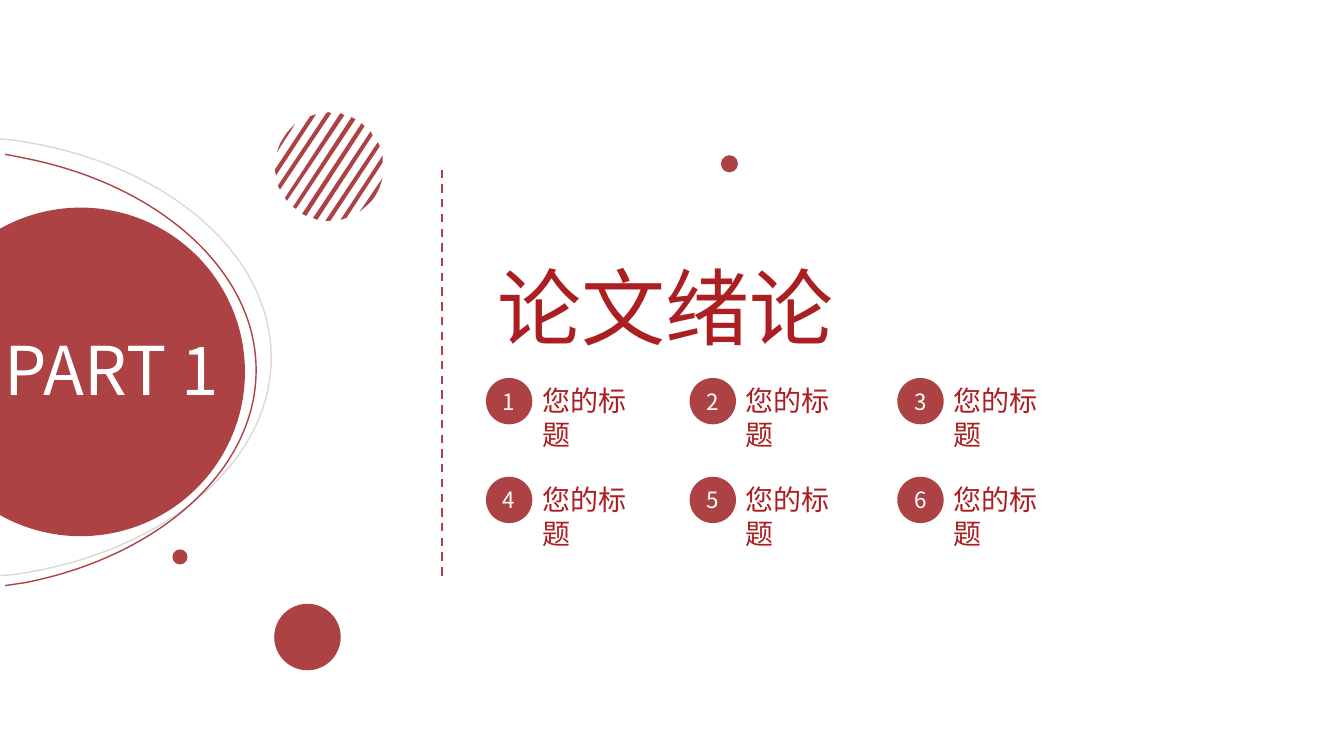
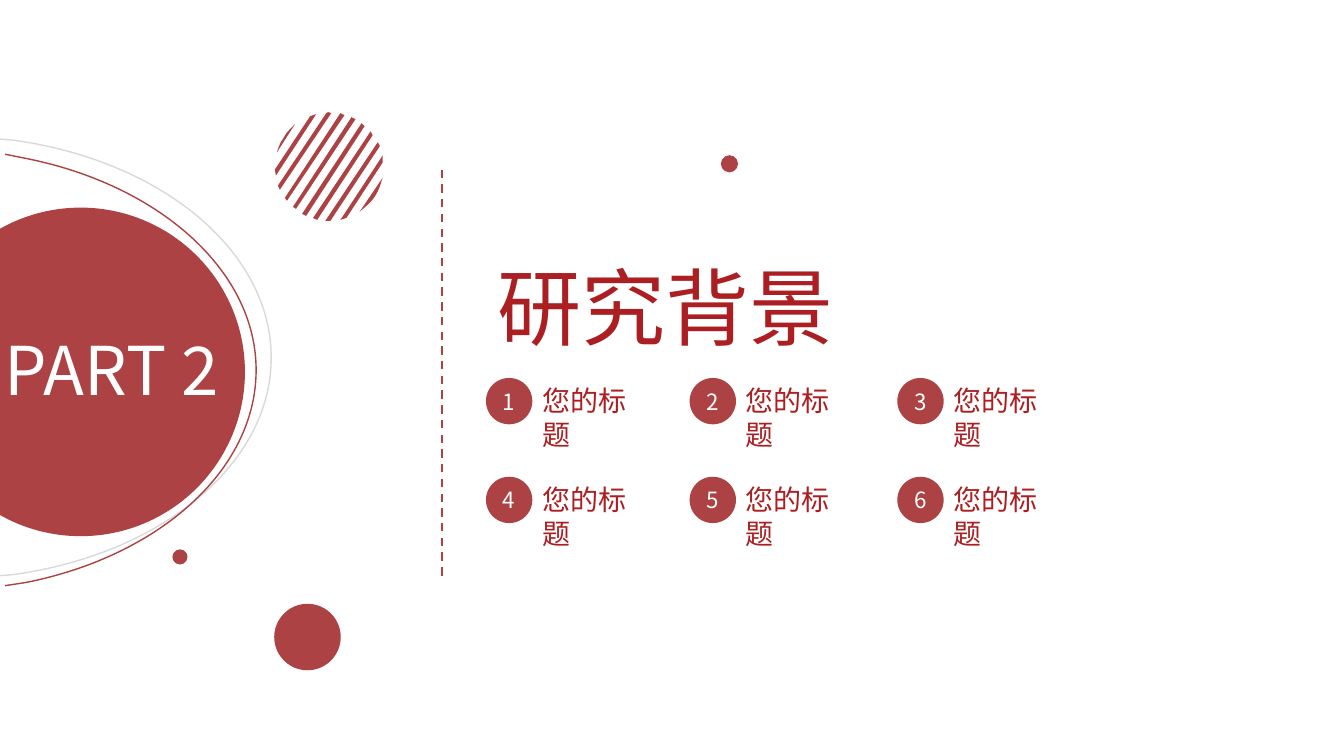
import math
from dataclasses import dataclass

from lxml import etree
from pptx import Presentation
from pptx.dml.color import RGBColor
from pptx.enum.dml import MSO_LINE
from pptx.enum.shapes import MSO_CONNECTOR, MSO_SHAPE
from pptx.enum.text import MSO_ANCHOR, MSO_AUTO_SIZE, PP_ALIGN
from pptx.oxml.ns import qn
from pptx.util import Inches, Pt

ELLIPSE = MSO_SHAPE.OVAL
STRAIGHT = MSO_CONNECTOR.STRAIGHT
DASH = MSO_LINE.DASH
LEFT, CENTER = PP_ALIGN.LEFT, PP_ALIGN.CENTER
MIDDLE = MSO_ANCHOR.MIDDLE
GROW = MSO_AUTO_SIZE.SHAPE_TO_FIT_TEXT

# Content
SECTIONS = [
    {"part": "PART 1", "title": "论文绪论", "topics": ["您的标题"] * 6},
    {"part": "PART 2", "title": "研究背景", "topics": ["您的标题"] * 6},
]


# Theme
@dataclass(frozen=True)
class Theme:
    font: str = "Noto Sans CJK SC"
    red: RGBColor = RGBColor(0xAC, 0x42, 0x43)
    title_red: RGBColor = RGBColor(0xAB, 0x1E, 0x21)
    gray: RGBColor = RGBColor(0xD9, 0xD9, 0xD9)
    white: RGBColor = RGBColor(0xFF, 0xFF, 0xFF)
    title_size: int = 60
    part_size: int = 48
    topic_size: int = 20
    badge_size: int = 16
    arc_width: int = 1
    divider_width: float = 1.5


THEME = Theme()

# Layout, in inches
TITLE_BOX = (4.82, 2.49, 3.57, 1.11)
PART_BOX = (-0.05, 3.21, 2.59, 0.91)
MAIN_DISC = (-0.83, 2.06, 3.26)  # left, top, diameter
SMALL_DISCS = [(7.15, 1.54, 0.17), (1.71, 5.45, 0.15)]
LOWER_DISC = (2.72, 5.99, 0.66)
DIVIDER_X, DIVIDER_TOP, DIVIDER_BOTTOM = 4.38, 1.63, 5.71

COLUMN_LEFTS = [4.82, 6.84, 8.9]
ROW_TOP, ROW_PITCH = 3.75, 0.98
BADGE = 0.46
TOPIC_WIDTH, TOPIC_HEIGHT = 1.3, 0.44

# Outlines: a tuple is a point, a list of three is a Bezier curve
ARC_ROTATION = 270
ARCS = [
    (THEME.gray, [
        (-0.11, 1.37), (0.13, 1.39),
        [(1.59, 1.59), (2.69, 2.48), (2.69, 3.55)],
        [(2.69, 4.61), (1.59, 5.5), (0.13, 5.7)], (-0.11, 5.72)]),
    (THEME.red, [
        (0.05, 1.53), (0.25, 1.57),
        [(1.57, 1.83), (2.54, 2.68), (2.54, 3.67)],
        [(2.54, 4.67), (1.57, 5.52), (0.25, 5.78)], (0.05, 5.81)]),
]
STRIPE_ROTATION = 303.4
STRIPES = [
    [(3.57, 2.1), (3.8, 1.76), (3.77, 1.85),
     [(3.76, 1.88), (3.74, 1.92), (3.72, 1.95)],
     [(3.7, 1.98), (3.67, 2.01), (3.65, 2.03)]],
    [(3.38, 2.18), (3.8, 1.54), (3.8, 1.61), (3.44, 2.16)],
    [(3.23, 2.19), (3.75, 1.41), (3.77, 1.44), (3.77, 1.45), (3.28, 2.19),
     (3.27, 2.19)],
    [(3.11, 2.16), (3.68, 1.3), (3.7, 1.34), (3.15, 2.18)],
    [(3, 2.12), (3.59, 1.22), (3.62, 1.25), (3.04, 2.14)],
    [(2.91, 2.05), (3.49, 1.16), (3.53, 1.18), (2.94, 2.07)],
    [(2.83, 1.96), (3.38, 1.12), (3.42, 1.14), (2.85, 1.99)],
    [(2.76, 1.84), (3.24, 1.12), (3.26, 1.11), (3.29, 1.12), (2.78, 1.88),
     (2.77, 1.86)],
    [(2.73, 1.68), (3.08, 1.15), (3.14, 1.13), (2.74, 1.74)],
    [(2.82, 1.36), [(2.84, 1.32), (2.86, 1.3), (2.89, 1.27)], (2.93, 1.23),
     (2.75, 1.51), (2.77, 1.45), [(2.78, 1.42), (2.8, 1.39), (2.82, 1.36)]],
]


# Drawing helpers
def inches(values):
    return [Inches(value) for value in values]


def write(shape, text, size, color, align=LEFT):
    paragraph = shape.text_frame.paragraphs[0]
    paragraph.alignment = align
    run = paragraph.add_run()
    run.text = text
    run.font.size = Pt(size)
    run.font.color.rgb = color
    run.font.name = THEME.font
    east_asian = etree.SubElement(run.font._element, qn("a:ea"))
    east_asian.set("typeface", THEME.font)


def add_text(slide, box, text, size, color, align=LEFT, wrap=False):
    shape = slide.shapes.add_textbox(*inches(box))
    shape.text_frame.word_wrap = wrap
    shape.text_frame.auto_size = GROW
    write(shape, text, size, color, align)


def paint(shape, color):
    shape.shadow.inherit = False
    shape.fill.solid()
    shape.fill.fore_color.rgb = color
    shape.line.fill.background()


def add_disc(slide, left, top, diameter):
    shape = slide.shapes.add_shape(
        ELLIPSE, *inches((left, top, diameter, diameter)))
    paint(shape, THEME.red)
    return shape


def flatten(contour):
    return [point for step in contour
            for point in (step if isinstance(step, list) else [step])]


def turn_back(points, pivot, rotation):
    """Undo the rotation that the finished shape will get."""
    cosine = math.cos(math.radians(rotation))
    sine = math.sin(math.radians(rotation))
    return [(pivot[0] + (x - pivot[0]) * cosine + (y - pivot[1]) * sine,
             pivot[1] - (x - pivot[0]) * sine + (y - pivot[1]) * cosine)
            for x, y in points]


def bend(shape, contours):
    """Join the three segments of each curve into one Bezier element."""
    segments = iter(list(shape._element.iter(qn("a:lnTo"))))
    for contour in contours:
        for step in contour[1:]:
            segment = next(segments)
            if isinstance(step, list):
                segment.tag = qn("a:cubicBezTo")
                for _ in range(2):
                    extra = next(segments)
                    segment.append(extra[0])
                    extra.getparent().remove(extra)


def add_outline(shapes, contours, rotation, close):
    flat = [flatten(contour) for contour in contours]
    pivot = [(min(values) + max(values)) / 2
             for values in zip(*(point for points in flat for point in points))]
    flat = [[inches(point) for point in turn_back(points, pivot, rotation)]
            for points in flat]
    builder = shapes.build_freeform(*flat[0][0])
    for index, points in enumerate(flat):
        if index:
            builder.move_to(*points[0])
        builder.add_line_segments(points[1:], close=close)
    shape = builder.convert_to_shape()
    bend(shape, contours)
    shape.rotation = rotation
    return shape


# Slide parts
def add_arcs(slide):
    group = slide.shapes.add_group_shape()
    for color, contour in ARCS:
        arc = add_outline(group.shapes, [contour], ARC_ROTATION, close=False)
        arc.shadow.inherit = False
        arc.fill.background()
        arc.line.color.rgb = color
        arc.line.width = Pt(THEME.arc_width)


def add_striped_disc(slide):
    stripes = add_outline(slide.shapes, STRIPES, STRIPE_ROTATION, close=True)
    paint(stripes, THEME.red)


def add_divider(slide):
    divider = slide.shapes.add_connector(
        STRAIGHT, *inches((DIVIDER_X, DIVIDER_BOTTOM, DIVIDER_X, DIVIDER_TOP)))
    divider.line.color.rgb = THEME.red
    divider.line.width = Pt(THEME.divider_width)
    divider.line.dash_style = DASH
    etree.SubElement(divider._element.spPr, qn("a:effectLst"))


def add_topics(slide, topics):
    for index, topic in enumerate(topics):
        row, column = divmod(index, len(COLUMN_LEFTS))
        left, top = COLUMN_LEFTS[column], ROW_TOP + row * ROW_PITCH
        text_top = top + (BADGE - TOPIC_HEIGHT) / 2
        add_text(slide, (left + BADGE, text_top, TOPIC_WIDTH, TOPIC_HEIGHT),
                 topic, THEME.topic_size, THEME.title_red)
        badge = add_disc(slide, left, top, BADGE)
        badge.text_frame.vertical_anchor = MIDDLE
        write(badge, str(index + 1), THEME.badge_size, THEME.white, CENTER)


def add_section_slide(presentation, section):
    slide = presentation.slides.add_slide(presentation.slide_layouts[6])
    add_arcs(slide)
    add_disc(slide, *MAIN_DISC)
    add_divider(slide)
    add_text(slide, TITLE_BOX, section["title"], THEME.title_size,
             THEME.title_red, CENTER)
    add_topics(slide, section["topics"])
    add_striped_disc(slide)
    for disc in SMALL_DISCS:
        add_disc(slide, *disc)
    add_text(slide, PART_BOX, section["part"], THEME.part_size,
             THEME.white, wrap=True)
    add_disc(slide, *LOWER_DISC)


def main():
    presentation = Presentation()
    presentation.slide_width = Inches(13.33)
    presentation.slide_height = Inches(7.5)
    for section in SECTIONS:
        add_section_slide(presentation, section)
    presentation.save("out.pptx")


if __name__ == "__main__":
    main()
